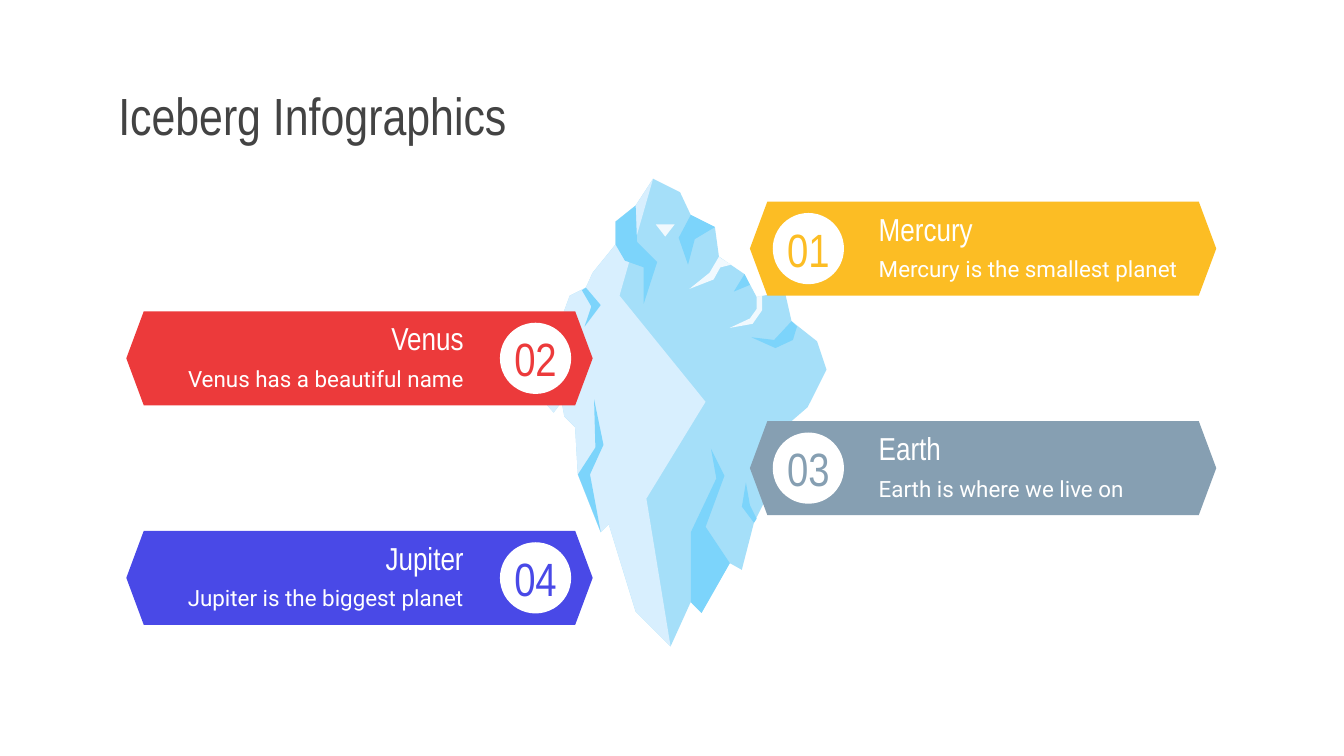
from pptx import Presentation
from pptx.dml.color import RGBColor
from pptx.enum.shapes import MSO_SHAPE
from pptx.enum.text import MSO_ANCHOR, MSO_AUTO_SIZE, PP_ALIGN
from pptx.util import Inches, Pt

WIDTH = 10
HEIGHT = WIDTH * 9 / 16
WHITE, DARK = "FFFFFF", "434343"
ICE, LIGHT_ICE, BLUE_ICE, SNOW = "A5DFF9", "D8EFFE", "7CD4FB", "F1F9FE"
HEADING_FONT, BODY_FONT = "Arial Narrow", "Roboto"


def add_polygon(points, color):
    """Draw a closed, filled outline from points in inches."""
    corners = [(Inches(x), Inches(y)) for x, y in points]
    builder = page.shapes.build_freeform(*corners[0])
    builder.add_line_segments(corners[1:], close=True)
    shape = builder.convert_to_shape()
    shape.shadow.inherit = False
    shape.fill.solid()
    shape.fill.fore_color.rgb = RGBColor.from_string(color)
    shape.line.fill.background()


def write_text(box, text, size, font, color, align, side_inset=0.1):
    """Fill a box with one formatted, vertically centred line."""
    frame = box.text_frame
    frame.text = text
    frame.word_wrap = True
    frame.auto_size = MSO_AUTO_SIZE.NONE
    frame.vertical_anchor = MSO_ANCHOR.MIDDLE
    frame.margin_left = frame.margin_right = Inches(side_inset)
    frame.margin_top = frame.margin_bottom = Inches(0.1)
    para = frame.paragraphs[0]
    para.alignment = align
    span = para.runs[0]
    span.font.size = Pt(size)
    span.font.name = font
    span.font.color.rgb = RGBColor.from_string(color)


deck = Presentation()
deck.slide_width, deck.slide_height = Inches(WIDTH), Inches(HEIGHT)
page = deck.slides.add_slide(deck.slide_layouts[5])

# Title
title = page.shapes.title
title.left, title.top = Inches(0.78), Inches(0.59)
title.width, title.height = Inches(8.45), Inches(0.53)
write_text(title, "Iceberg Infographics", 28, HEADING_FONT, DARK, PP_ALIGN.LEFT)

# Iceberg: both faces share the left edge, from the peak down to the tip
left_edge = [
    (4.86, 1.33), (4.73, 1.53), (4.58, 1.65), (4.58, 1.82), (4.41, 2.03),
    (4.36, 2.14), (4.24, 2.2), (4.17, 2.39), (4.06, 2.39), (3.94, 2.52),
    (3.91, 2.69), (3.98, 2.91), (4.12, 3.07), (4.18, 2.99), (4.2, 3.1),
    (4.28, 3.18), (4.3, 3.53), (4.47, 3.96), (4.53, 3.9), (4.73, 4.55),
    (4.99, 4.81),
]
right_edge = [
    (5.14, 4.48), (5.22, 4.56), (5.43, 4.19), (5.52, 4.24), (5.61, 3.89),
    (5.74, 3.63), (5.79, 3.22), (6.01, 3.03), (6.15, 2.75), (6.08, 2.54),
    (5.89, 2.39), (5.84, 2.17), (5.63, 2.21), (5.54, 2.04), (5.35, 1.91),
    (5.32, 1.69), (5.14, 1.6), (5.06, 1.43),
]
ridge = [(4.81, 3.71), (5.25, 2.99), (4.61, 2.2)]
add_polygon(left_edge + right_edge, ICE)
add_polygon(left_edge + ridge, LIGHT_ICE)

# Shaded facets
facets = [
    [(5.54, 2.04), (5.46, 2.17), (5.58, 2.12)],
    [(5.14, 1.6), (5.05, 1.77), (5.12, 1.97), (5.17, 1.78), (5.32, 1.69)],
    [(4.73, 1.53), (4.58, 1.65), (4.58, 1.82), (4.65, 1.94), (4.79, 1.99),
     (4.79, 2.26), (4.89, 1.95), (4.74, 1.8)],
    [(4.36, 2.14), (4.33, 2.16), (4.4, 2.28), (4.35, 2.43), (4.47, 2.27)],
    [(4.42, 2.97), (4.43, 3.33), (4.3, 3.53), (4.47, 3.96), (4.39, 3.53),
     (4.49, 3.31)],
    [(5.29, 3.34), (5.33, 3.56), (5.14, 3.96), (5.14, 4.48), (5.22, 4.56),
     (5.43, 4.19), (5.25, 3.92), (5.39, 3.54)],
    [(5.55, 3.59), (5.52, 3.77), (5.61, 3.89), (5.63, 3.86), (5.58, 3.76)],
    [(5.89, 2.39), (5.76, 2.53), (5.59, 2.51), (5.77, 2.59), (5.9, 2.53),
     (5.93, 2.43)],
]
for facet in facets:
    add_polygon(facet, BLUE_ICE)

# Snow highlights
highlights = [
    [(5.02, 1.67), (4.88, 1.67), (4.95, 1.76)],
    [(5.35, 1.91), (5.28, 2.03), (5.13, 2.15), (5.31, 2.08), (5.36, 1.99),
     (5.44, 1.97), (5.36, 1.92)],
    [(5.67, 2.2), (5.63, 2.21), (5.63, 2.3), (5.58, 2.37), (5.43, 2.44),
     (5.6, 2.41), (5.67, 2.31)],
]
for highlight in highlights:
    add_polygon(highlight, SNOW)

# Banners: one row each, alternating right and left of the iceberg
FIRST_TOP, LAST_TOP = 1.5, 3.95
BANNER_WIDTH, BANNER_HEIGHT, POINT = 3.47, 0.7, 0.13
TEXT_WIDTH, TEXT_HEIGHT, CIRCLE = 2.47, 0.4, 0.53
# Left of the banner, of its text and of its circle, then the alignment
SIDES = [(5.58, 6.44, 5.75, PP_ALIGN.LEFT), (0.94, 1.08, 3.72, PP_ALIGN.RIGHT)]
banners = [
    ("Mercury", "Mercury is the smallest planet", "FCBD24"),
    ("Venus", "Venus has a beautiful name", "EC3A3B"),
    ("Earth", "Earth is where we live on", "869FB2"),
    ("Jupiter", "Jupiter is the biggest planet", "4949E7"),
]
row_step = (LAST_TOP - FIRST_TOP) / (len(banners) - 1)
for row, (name, description, color) in enumerate(banners):
    left, text_left, circle_left, align = SIDES[row % 2]
    top = FIRST_TOP + row * row_step
    right, middle, bottom = left + BANNER_WIDTH, top + BANNER_HEIGHT / 2, top + BANNER_HEIGHT
    add_polygon([
        (left + POINT, top), (left, middle), (left + POINT, bottom),
        (right - POINT, bottom), (right, middle), (right - POINT, top),
    ], color)

    lines = [(description, 12, BODY_FONT, 0.3), (name, 17, HEADING_FONT, 0)]
    for text, size, font, offset in lines:
        box = page.shapes.add_textbox(Inches(text_left), Inches(top + offset),
                                      Inches(TEXT_WIDTH), Inches(TEXT_HEIGHT))
        write_text(box, text, size, font, WHITE, align)

    circle = page.shapes.add_shape(MSO_SHAPE.OVAL, Inches(circle_left), Inches(middle - CIRCLE / 2),
                                   Inches(CIRCLE), Inches(CIRCLE))
    circle.shadow.inherit = False
    circle.fill.solid()
    circle.fill.fore_color.rgb = RGBColor.from_string(WHITE)
    circle.line.fill.background()
    write_text(circle, f"{row + 1:02}", 25, HEADING_FONT, color, PP_ALIGN.CENTER, side_inset=0)

deck.save("out.pptx")
